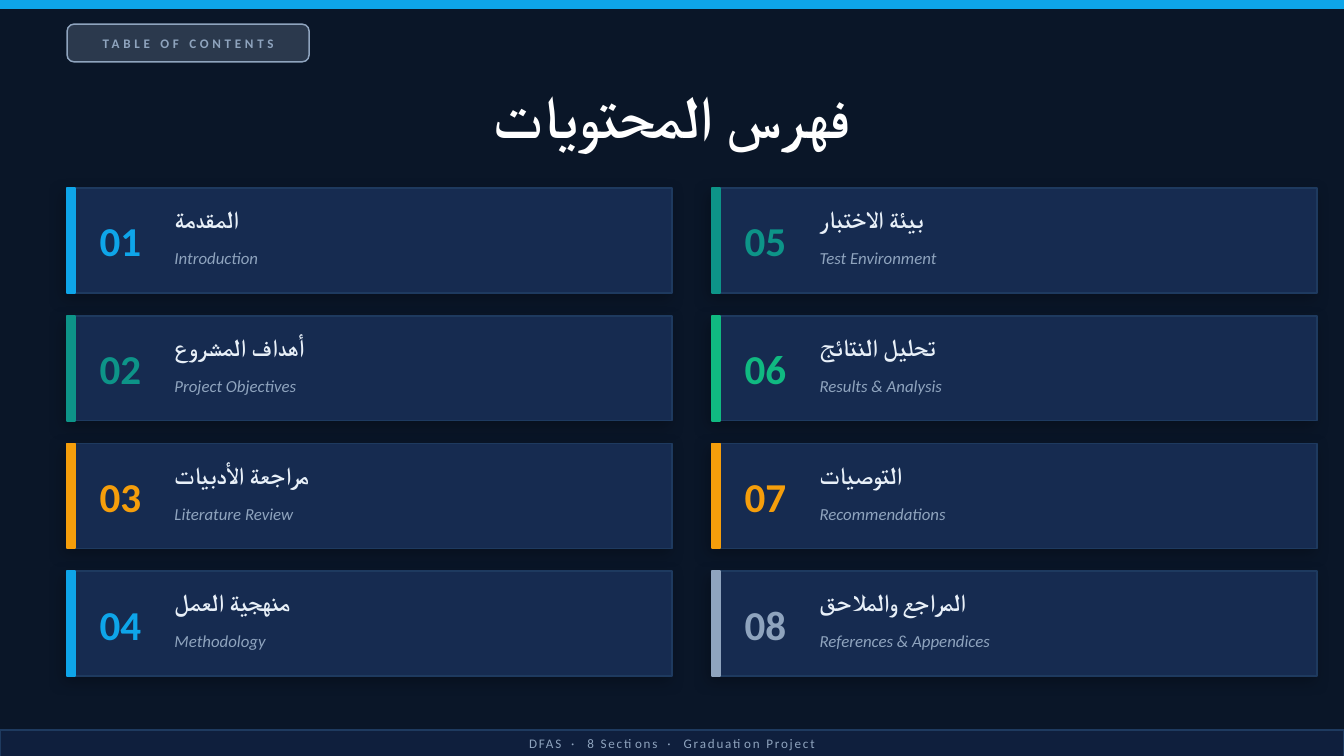
from lxml import etree
from pptx import Presentation
from pptx.dml.color import RGBColor
from pptx.enum.shapes import MSO_SHAPE
from pptx.enum.text import MSO_ANCHOR, MSO_AUTO_SIZE, PP_ALIGN
from pptx.oxml.ns import qn
from pptx.util import Pt

FONT = "Calibri"
NAVY = RGBColor(0x0A, 0x16, 0x28)
FOOTER_BLUE = RGBColor(0x0F, 0x1F, 0x3D)
CARD_BLUE = RGBColor(0x16, 0x2B, 0x50)
EDGE_BLUE = RGBColor(0x1E, 0x3A, 0x5F)
SKY = RGBColor(0x0E, 0xA5, 0xE9)
TEAL = RGBColor(0x0D, 0x94, 0x88)
AMBER = RGBColor(0xF5, 0x9E, 0x0B)
GREEN = RGBColor(0x10, 0xB9, 0x81)
SLATE = RGBColor(0x8F, 0xA4, 0xBE)
PALE = RGBColor(0xE8, 0xF0, 0xF8)
WHITE = RGBColor(0xFF, 0xFF, 0xFF)

SLIDE_W, SLIDE_H = 720, 405
LEFT = 36
CARD_TOP, CARD_W, CARD_H = 100.8, 324, 56.16
COLUMN_STEP, ROW_STEP, ROWS = 345.6, 68.4, 4
ACCENT_W = 4.32

SECTIONS = [
    ("المقدمة", "Introduction", SKY),
    ("أهداف المشروع", "Project Objectives", TEAL),
    ("مراجعة الأدبيات", "Literature Review", AMBER),
    ("منهجية العمل", "Methodology", SKY),
    ("بيئة الاختبار", "Test Environment", TEAL),
    ("تحليل النتائج", "Results & Analysis", GREEN),
    ("التوصيات", "Recommendations", AMBER),
    ("المراجع والملاحق", "References & Appendices", SLATE),
]


def add_box(slide, box, fill, line, line_width=1, kind=MSO_SHAPE.RECTANGLE):
    """Add a filled, outlined shape without a shadow."""
    shape = slide.shapes.add_shape(kind, *map(Pt, box))
    shape.shadow.inherit = False
    shape.fill.solid()
    shape.fill.fore_color.rgb = fill
    shape.line.color.rgb = line
    shape.line.width = Pt(line_width)
    return shape


def add_shadow(shape):
    """Give a shape a soft black shadow towards the lower left."""
    effects = shape._element.spPr.find(qn("a:effectLst"))
    shadow = etree.SubElement(effects, qn("a:outerShdw"), blurRad=str(Pt(8)),
                              dist=str(Pt(3)), dir=str(135 * 60000),
                              algn="bl", rotWithShape="0")
    color = etree.SubElement(shadow, qn("a:srgbClr"), val="000000")
    etree.SubElement(color, qn("a:alpha"), val="25000")


def set_opacity(shape, percent):
    """Make a solid fill partly transparent."""
    color = shape._element.spPr.find(qn("a:solidFill"))[0]
    etree.SubElement(color, qn("a:alpha"), val=str(percent * 1000))


def write_run(paragraph, text, size, color, bold=False, italic=False, spacing=0):
    """Append a run, using the same font for Latin and Arabic script."""
    run = paragraph.add_run()
    run.text = text
    font = run.font
    font.name, font.size = FONT, Pt(size)
    font.bold, font.italic = bold, italic
    font.color.rgb = color
    properties = run._r.get_or_add_rPr()
    for tag in ("a:ea", "a:cs"):
        etree.SubElement(properties, qn(tag), typeface=FONT)
    if spacing:
        properties.set("spc", str(round(spacing * 100)))


def prepare_frame(shape, align):
    """Set wrapping and middle anchoring; return the first paragraph."""
    frame = shape.text_frame
    frame.word_wrap = True
    frame.auto_size = MSO_AUTO_SIZE.NONE
    frame.vertical_anchor = MSO_ANCHOR.MIDDLE
    paragraph = frame.paragraphs[0]
    paragraph.alignment = align
    return paragraph


def add_text(slide, box, text, size, color, align=PP_ALIGN.LEFT, **style):
    """Add a one-line text box."""
    shape = slide.shapes.add_textbox(*map(Pt, box))
    write_run(prepare_frame(shape, align), text, size, color, **style)


def set_title(slide, text):
    """Place and format the title placeholder."""
    title = slide.shapes.title
    title.left, title.top, title.width, title.height = map(Pt, (LEFT, 36, 648, 50.4))
    write_run(prepare_frame(title, PP_ALIGN.CENTER), text, 32, WHITE, bold=True)


def add_badge(slide):
    """Add the rounded label in the top left corner."""
    box = (LEFT, 12.96, 129.6, 20.16)
    badge = add_box(slide, box, SLATE, SLATE, 0.8, MSO_SHAPE.ROUNDED_RECTANGLE)
    badge.adjustments[0] = 0.18
    set_opacity(badge, 25)
    add_text(slide, box, "TABLE OF CONTENTS", 7, SLATE, PP_ALIGN.CENTER,
             bold=True, spacing=2)


def add_card(slide, index, arabic, english, accent):
    """Add one section card; cards fill the columns from top to bottom."""
    column, row = divmod(index, ROWS)
    x = LEFT + column * COLUMN_STEP
    y = CARD_TOP + row * ROW_STEP
    add_shadow(add_box(slide, (x, y, CARD_W, CARD_H), CARD_BLUE, EDGE_BLUE, 0.8))
    add_box(slide, (x, y, ACCENT_W, CARD_H), accent, accent)
    add_text(slide, (x + 8.64, y, 39.6, CARD_H), f"{index + 1:02d}", 22, accent,
             PP_ALIGN.CENTER, bold=True)
    add_text(slide, (x + 50.4, y + 4.32, 259.2, 24.48), arabic, 13, PALE, bold=True)
    add_text(slide, (x + 50.4, y + 27.36, 259.2, 20.16), english, 9, SLATE, italic=True)


def add_footer(slide):
    """Add the footer strip, with wider tracking around its separators."""
    add_box(slide, (0, 390.96, SLIDE_W, 14.4), FOOTER_BLUE, EDGE_BLUE)
    shape = slide.shapes.add_textbox(*map(Pt, (0, 391.68, SLIDE_W, 12.96)))
    paragraph = prepare_frame(shape, PP_ALIGN.CENTER)
    for position, part in enumerate(("DFAS", "8 Sections", "Graduation Project")):
        if position:
            write_run(paragraph, " · ", 7, SLATE, spacing=2.7)
        write_run(paragraph, part, 7, SLATE, spacing=1)


def main():
    """Build the contents slide."""
    deck = Presentation()
    deck.slide_width, deck.slide_height = Pt(SLIDE_W), Pt(SLIDE_H)
    slide = deck.slides.add_slide(deck.slide_layouts[5])
    slide.background.fill.solid()
    slide.background.fill.fore_color.rgb = NAVY
    add_box(slide, (0, 0, SLIDE_W, 4.32), SKY, SKY)
    add_badge(slide)
    set_title(slide, "فهرس المحتويات")
    for index, section in enumerate(SECTIONS):
        add_card(slide, index, *section)
    add_footer(slide)
    deck.save("out.pptx")


main()
